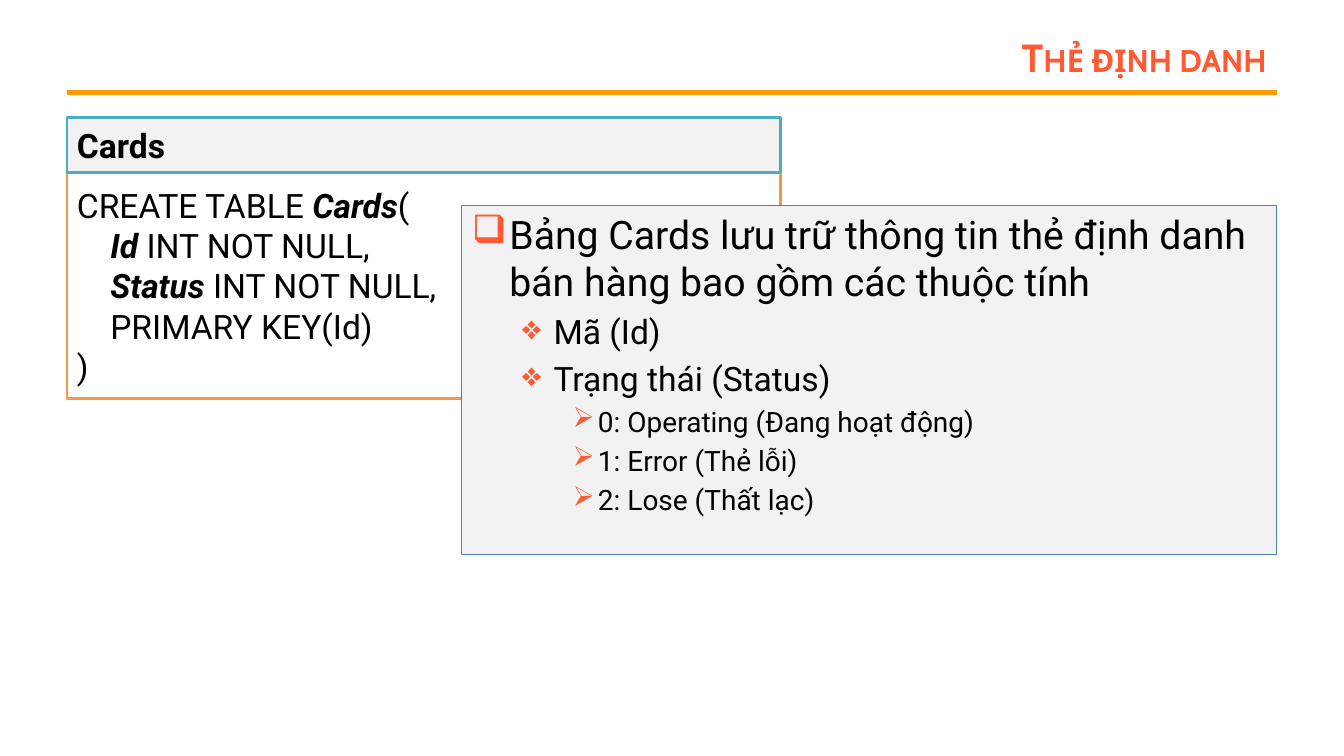
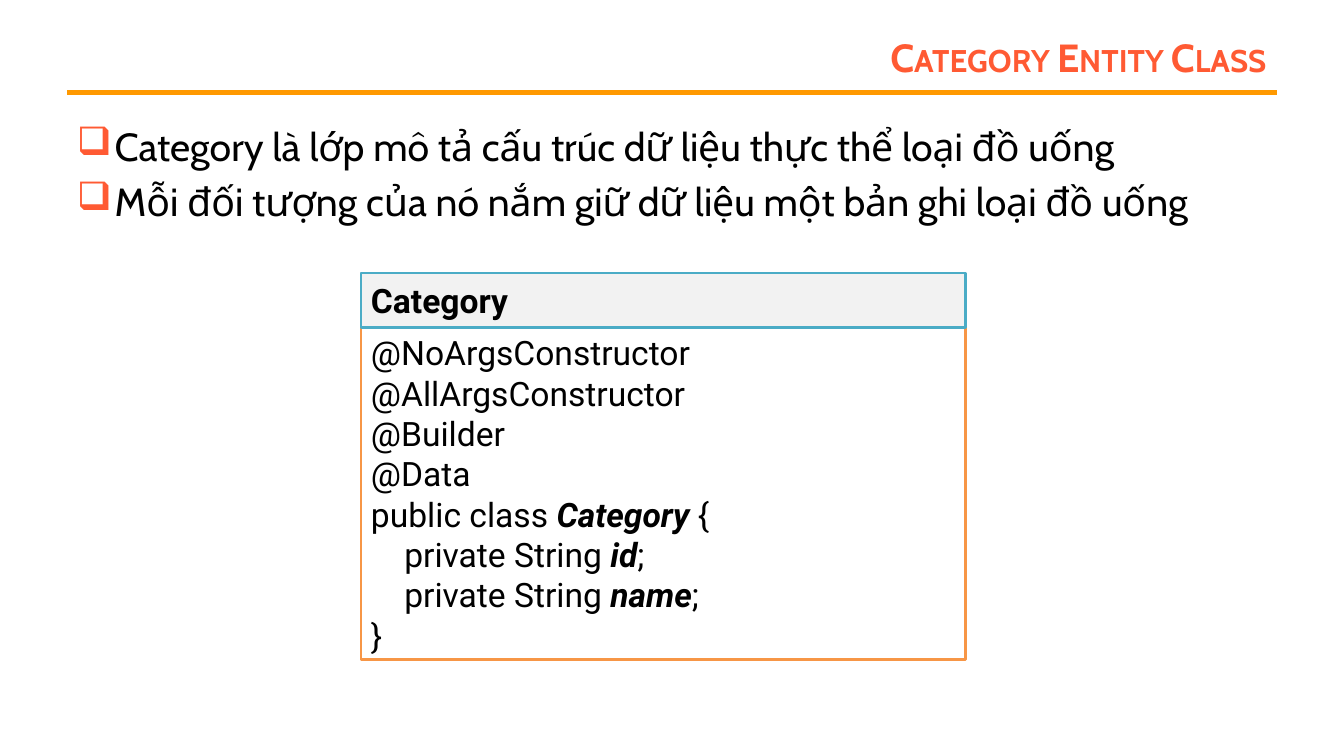
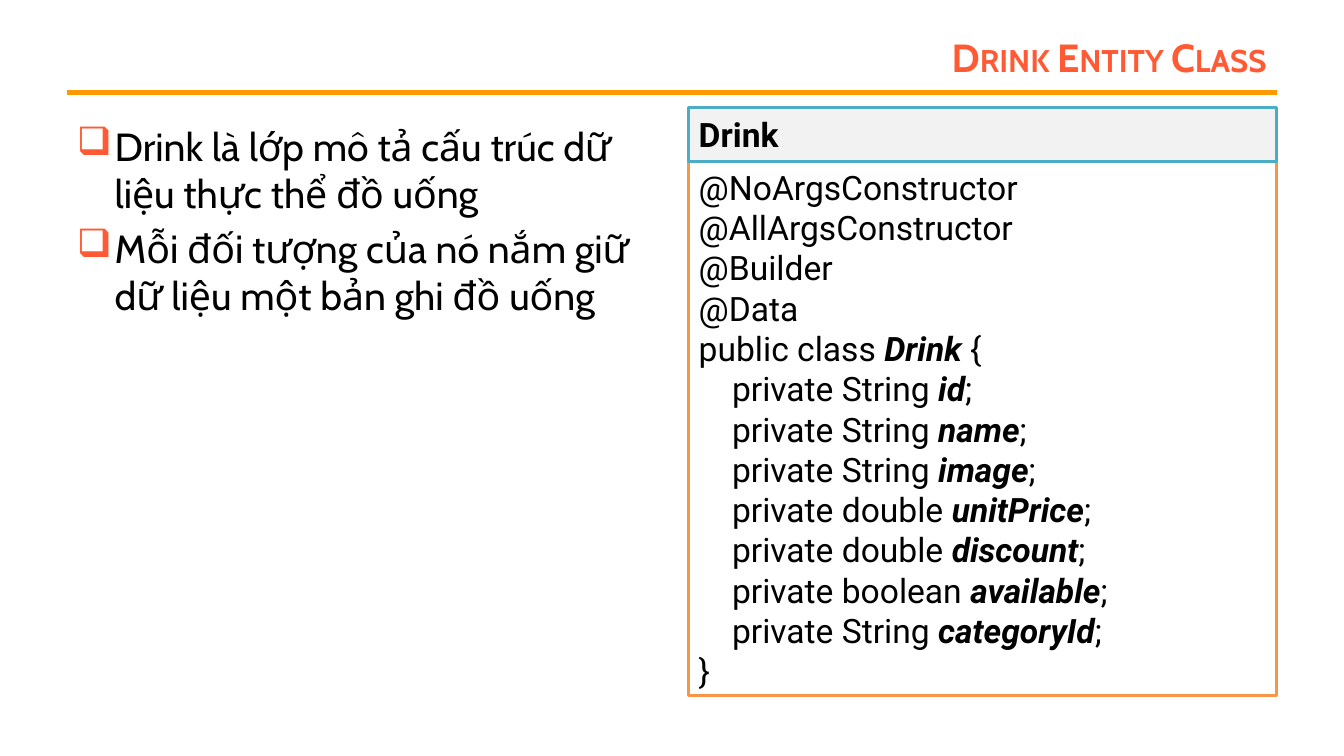
from lxml import etree
from pptx import Presentation
from pptx.dml.color import RGBColor
from pptx.enum.shapes import MSO_CONNECTOR, MSO_SHAPE
from pptx.enum.text import MSO_ANCHOR, PP_ALIGN
from pptx.oxml.ns import qn
from pptx.util import Cm, Pt

STRAIGHT, RECTANGLE = MSO_CONNECTOR.STRAIGHT, MSO_SHAPE.RECTANGLE
MIDDLE, TOP = MSO_ANCHOR.MIDDLE, MSO_ANCHOR.TOP
LEFT, RIGHT = PP_ALIGN.LEFT, PP_ALIGN.RIGHT

ACCENT = RGBColor(0xFF, 0x5A, 0x33)
RULE = RGBColor(0xFF, 0x99, 0x00)
CODE_BORDER = RGBColor(0xF7, 0x96, 0x46)
HEADER_BORDER = RGBColor(0x4B, 0xAC, 0xC6)
PANEL_BORDER = RGBColor(0x4F, 0x81, 0xBD)
PANEL_FILL = RGBColor(0xF2, 0xF2, 0xF2)
WHITE = RGBColor(0xFF, 0xFF, 0xFF)
BLACK = RGBColor(0, 0, 0)

TITLE_FONT, CODE_FONT = "Cabin", "Roboto"
MARGIN_LEFT, MARGIN_RIGHT = 1.69, 32.17
TITLE_LEFT, TITLE_TOP, TITLE_HEIGHT = 6.2, 0.76, 1.35
RULE_TOP = 2.33
HEADER_HEIGHT = 1.38
CODE_INDENT = 0.84

# Bullet levels: character, text indent and hanging indent in cm, size in points
BULLETS = [("❑", 0.95, 0.95, 28), ("❖", 2.06, 0.79, 24), ("➢", 3.18, 0.64, 20)]

ANNOTATIONS = [(0, "@NoArgsConstructor"), (0, "@AllArgsConstructor"),
               (0, "@Builder"), (0, "@Data")]


def entity_class(name, fields):
    return (ANNOTATIONS + [(0, f"public class *{name}* {{")]
            + [(1, f"private {kind} *{field}*;") for kind, field in fields]
            + [(0, "}")])


# Boxes are (left, top, width, height) in cm; lines are (level, text),
# with *emphasis* in code
SLIDES = [
    {
        "title": "Thẻ định danh",
        "code": {
            "name": "Cards",
            "box": (MARGIN_LEFT, 2.96, 17.98, 7.09),
            "lines": [
                (0, "CREATE TABLE *Cards*("),
                (1, "*Id* INT NOT NULL,"),
                (1, "*Status* INT NOT NULL,"),
                (1, "PRIMARY KEY(Id)"),
                (0, ")"),
            ],
        },
        "points": {
            "box": (11.64, 5.18, 20.53, 8.79),
            "font": CODE_FONT,
            "framed": True,
            "lines": [
                (0, "Bảng Cards lưu trữ thông tin thẻ định danh bán hàng "
                    "bao gồm các thuộc tính"),
                (1, "Mã (Id)"),
                (1, "Trạng thái (Status)"),
                (2, "0: Operating (Đang hoạt động)"),
                (2, "1: Error (Thẻ lỗi)"),
                (2, "2: Lose (Thất lạc)"),
            ],
        },
    },
    {
        "title": "Category Entity Class",
        "code": {
            "name": "Category",
            "box": (9.1, 6.88, 15.24, 9.74),
            "lines": entity_class("Category", [("String", "id"), ("String", "name")]),
        },
        "points": {
            "box": (MARGIN_LEFT, 2.96, 30.48, 3.5),
            "font": TITLE_FONT,
            "framed": False,
            "lines": [
                (0, "Category là lớp mô tả cấu trúc dữ liệu thực thể loại đồ uống"),
                (0, "Mỗi đối tượng của nó nắm giữ dữ liệu một bản ghi loại đồ uống"),
            ],
        },
    },
    {
        "title": "Drink Entity Class",
        "code": {
            "name": "Drink",
            "box": (17.36, 2.7, 14.81, 14.82),
            "lines": entity_class("Drink", [
                ("String", "id"), ("String", "name"), ("String", "image"),
                ("double", "unitPrice"), ("double", "discount"),
                ("boolean", "available"), ("String", "categoryId"),
            ]),
        },
        "points": {
            "box": (MARGIN_LEFT, 2.96, 15.67, 14.6),
            "font": TITLE_FONT,
            "framed": False,
            "lines": [
                (0, "Drink là lớp mô tả cấu trúc dữ liệu thực thể đồ uống"),
                (0, "Mỗi đối tượng của nó nắm giữ dữ liệu một bản ghi đồ uống"),
            ],
        },
    },
]


def add_run(paragraph, text, color=BLACK, **formats):
    run = paragraph.add_run()
    run.text = text
    run.font.color.rgb = color
    for attribute, value in formats.items():
        setattr(run.font, attribute, value)
    return run


def add_box(slide, box, anchor, fill=None, border=None, border_width=2):
    """Add a text frame, drawn as a rectangle if it has a fill."""
    place = [Cm(length) for length in box]
    if fill is None:
        shape = slide.shapes.add_textbox(*place)
    else:
        shape = slide.shapes.add_shape(RECTANGLE, *place)
        shape.shadow.inherit = False
        shape.fill.solid()
        shape.fill.fore_color.rgb = fill
        shape.line.color.rgb = border
        shape.line.width = Pt(border_width)
    frame = shape.text_frame
    frame.word_wrap = True
    frame.vertical_anchor = anchor
    return frame


def add_paragraphs(frame, lines):
    """Yield a left-aligned paragraph with the level and text of each line."""
    for number, (level, text) in enumerate(lines):
        paragraph = frame.add_paragraph() if number else frame.paragraphs[0]
        paragraph.alignment = LEFT
        yield paragraph, level, text


def set_indent(paragraph, left, hanging=0):
    properties = paragraph._p.get_or_add_pPr()
    properties.set("marL", str(Cm(left)))
    properties.set("indent", str(-Cm(hanging)))
    return properties


def add_heading(slide, title):
    rule = slide.shapes.add_connector(
        STRAIGHT, Cm(MARGIN_LEFT), Cm(RULE_TOP), Cm(MARGIN_RIGHT), Cm(RULE_TOP))
    rule.line.color.rgb = RULE
    rule.line.width = Pt(3)
    etree.SubElement(rule._element.spPr, qn("a:effectLst"))
    frame = add_box(
        slide, (TITLE_LEFT, TITLE_TOP, MARGIN_RIGHT - TITLE_LEFT, TITLE_HEIGHT), MIDDLE)
    frame.paragraphs[0].alignment = RIGHT
    run = add_run(frame.paragraphs[0], title, ACCENT,
                  name=TITLE_FONT, size=Pt(28), bold=True)
    run.font._element.set("cap", "small")


def add_code(slide, name, box, lines):
    left, top, width, height = box
    listing = add_box(slide, (left, top + HEADER_HEIGHT, width, height - HEADER_HEIGHT),
                      MIDDLE, WHITE, CODE_BORDER)
    for paragraph, level, text in add_paragraphs(listing, lines):
        set_indent(paragraph, level * CODE_INDENT)
        for part, words in enumerate(text.split("*")):
            if words:
                emphasis = part % 2 == 1
                add_run(paragraph, words, name=CODE_FONT, size=Pt(24),
                        bold=emphasis, italic=emphasis)
    header = add_box(slide, (left, top, width, HEADER_HEIGHT),
                     MIDDLE, PANEL_FILL, HEADER_BORDER)
    header.paragraphs[0].alignment = LEFT
    add_run(header.paragraphs[0], name, name=CODE_FONT, size=Pt(24), bold=True)


def add_points(slide, box, font, framed, lines):
    frame_style = (PANEL_FILL, PANEL_BORDER, 0.75) if framed else ()
    frame = add_box(slide, box, TOP, *frame_style)
    for paragraph, level, text in add_paragraphs(frame, lines):
        character, left, hanging, size = BULLETS[level]
        paragraph.level = level
        paragraph.space_before = Pt(size * 0.2)
        properties = set_indent(paragraph, left, hanging)
        color = etree.SubElement(properties, qn("a:buClr"))
        etree.SubElement(color, qn("a:srgbClr"), val=str(ACCENT))
        etree.SubElement(properties, qn("a:buChar"), char=character)
        add_run(paragraph, text, name=font, size=Pt(size))


def main():
    presentation = Presentation()
    presentation.slide_width, presentation.slide_height = Cm(33.87), Cm(19.05)
    blank = presentation.slide_layouts[6]
    for content in SLIDES:
        slide = presentation.slides.add_slide(blank)
        add_heading(slide, content["title"])
        add_code(slide, **content["code"])
        add_points(slide, **content["points"])
    presentation.save("out.pptx")


if __name__ == "__main__":
    main()
